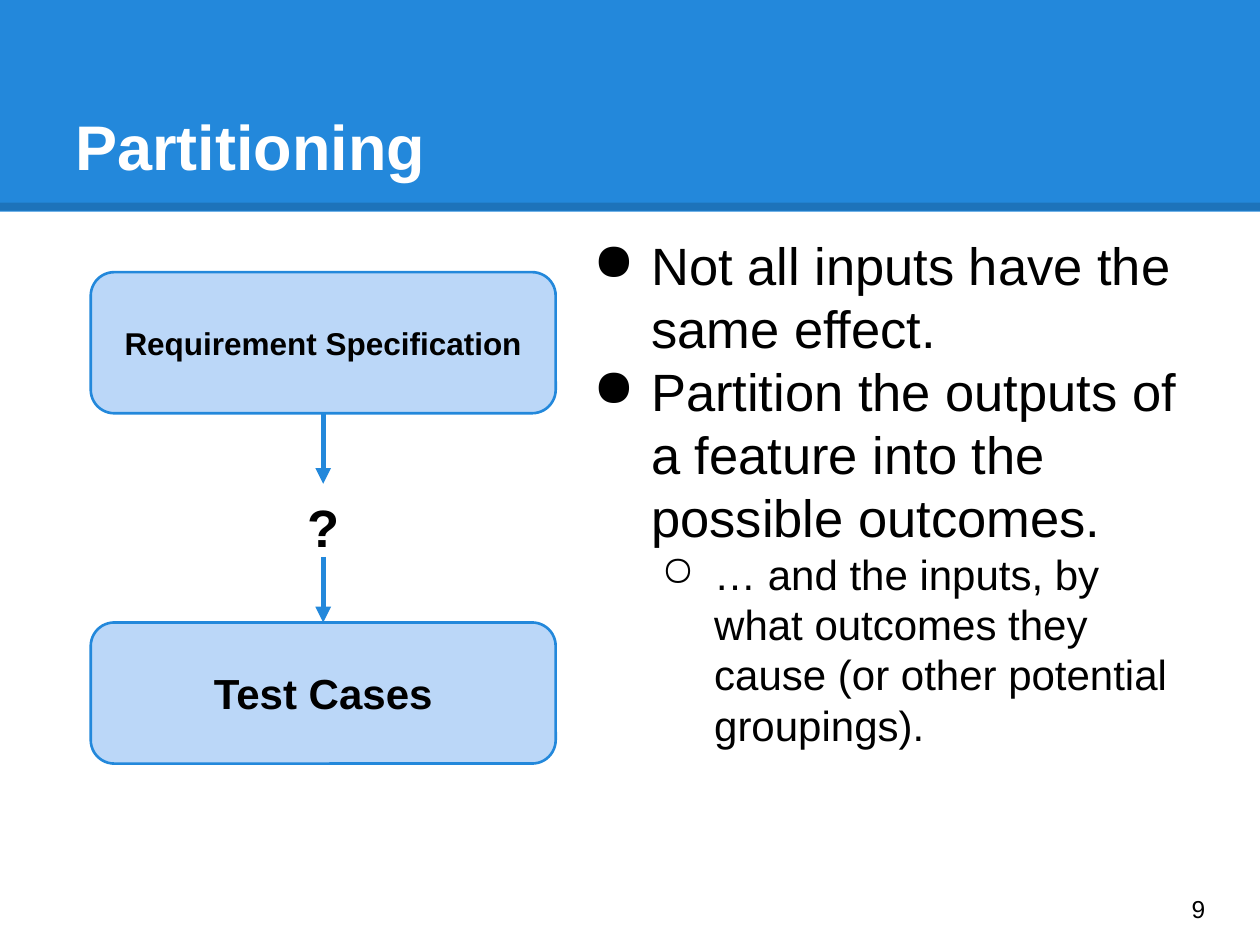
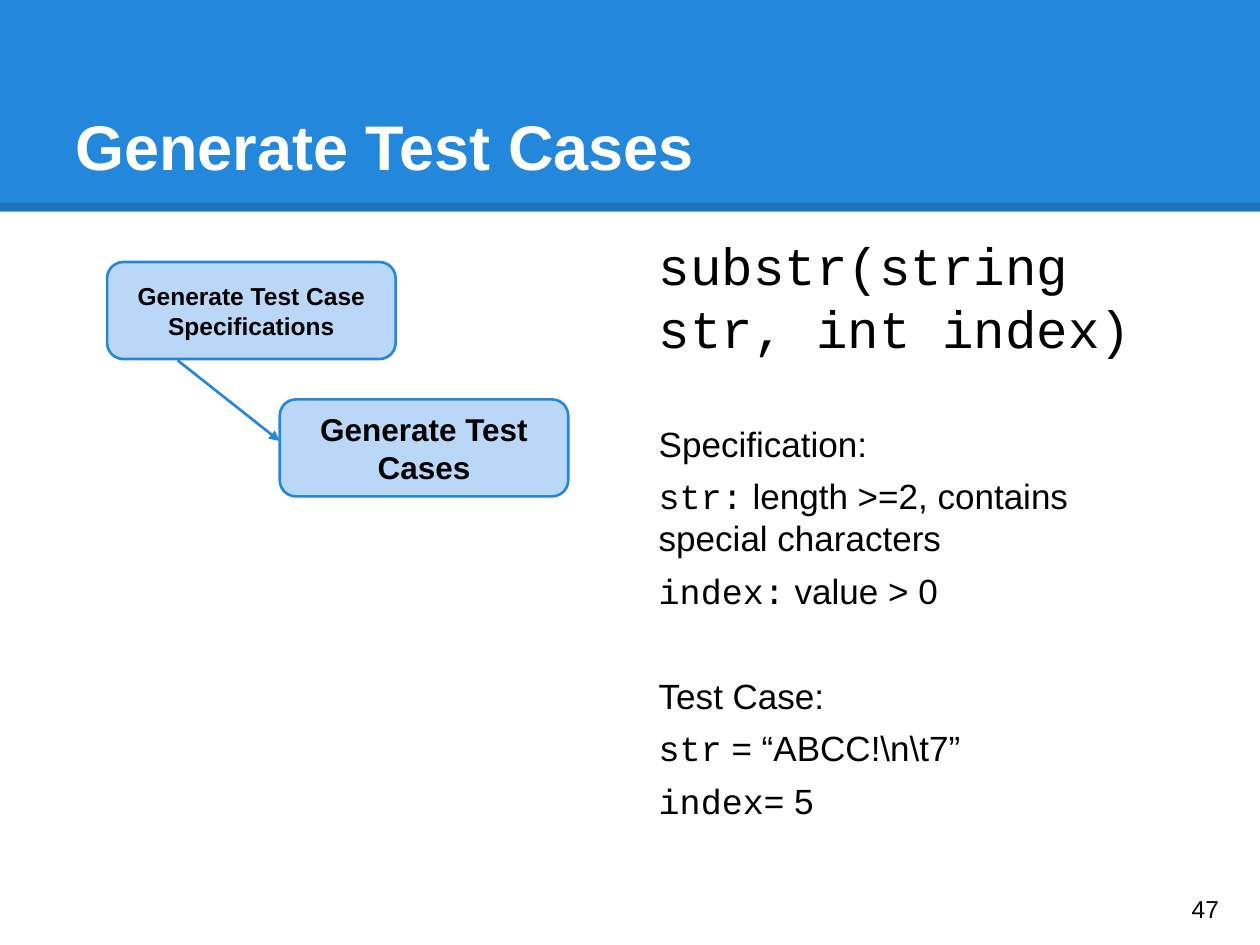
import pptx
import pptx.util
import pptx.dml.color
import pptx.enum.shapes
import pptx.enum.text
import pptx.oxml
import pptx.oxml.ns
from lxml import etree

Inches = pptx.util.Inches
Pt = pptx.util.Pt
Shapes = pptx.enum.shapes.MSO_SHAPE
Anchor = pptx.enum.text.MSO_ANCHOR
Align = pptx.enum.text.PP_ALIGN
qn = pptx.oxml.ns.qn

BLUE, PALE_BLUE, BLACK, WHITE = "2388DB", "BBD7F8", "000000", "FFFFFF"
SANS, MONO = "Arial", "Courier New"
MARGIN = Inches(0.1)


def rgb(color):
    """Turn a hex string into a colour."""
    return pptx.dml.color.RGBColor.from_string(color)


def set_font(font, size, color=BLACK, bold=False, name=SANS):
    """Set all the properties of a font."""
    font.name, font.size, font.bold = name, Pt(size), bold
    font.color.rgb = rgb(color)


def set_frame(frame, anchor):
    """Give a text frame its wrapping, margins and anchor."""
    frame.word_wrap = True
    frame.vertical_anchor = anchor
    frame.margin_left = frame.margin_right = MARGIN
    frame.margin_top = frame.margin_bottom = MARGIN


def add_frame(slide, left, top, width, height, anchor=Anchor.TOP):
    """Add a text box and return its text frame."""
    box = slide.shapes.add_textbox(Inches(left), Inches(top), Inches(width), Inches(height))
    set_frame(box.text_frame, anchor)
    return box.text_frame


def next_paragraph(frame):
    """Return the unused first paragraph of a frame, or a new one."""
    first = frame.paragraphs[0]
    return first if not first.runs else frame.add_paragraph()


def write(frame, text, size, color=BLACK, bold=False, align=Align.LEFT):
    """Write one line of uniform text into a frame."""
    paragraph = next_paragraph(frame)
    paragraph.add_run().text = text
    paragraph.alignment = align
    set_font(paragraph.font, size, color, bold)


def add_bullet(frame, text, mark, size, indent, hanging, before=0):
    """Add a bulleted paragraph; indent and hanging are in inches."""
    paragraph = next_paragraph(frame)
    paragraph.add_run().text = text
    properties = paragraph._p.get_or_add_pPr()
    properties.set("marL", str(Inches(indent)))
    properties.set("indent", str(-Inches(hanging)))
    bullet_color = etree.SubElement(properties, qn("a:buClr"))
    etree.SubElement(bullet_color, qn("a:srgbClr"), val=BLACK)
    etree.SubElement(properties, qn("a:buChar"), char=mark)
    paragraph.space_before = Pt(before)
    set_font(paragraph.font, size)


def add_code_line(frame, code, prose="", size=20, before=6):
    """Add a paragraph that starts with code and goes on in prose."""
    paragraph = next_paragraph(frame)
    paragraph.space_before = Pt(before)
    set_font(paragraph.font, size, name=MONO if code else SANS)
    for text, name in ((code, MONO), (prose, SANS)):
        if text:
            run = paragraph.add_run()
            run.text, run.font.name = text, name


def add_line(slide, start, end, color, width):
    """Add a straight line without shadow and return its line properties."""
    connector = slide.shapes.add_connector(
        pptx.enum.shapes.MSO_CONNECTOR.STRAIGHT,
        *(Inches(value) for value in (*start, *end)))
    connector.line.color.rgb = rgb(color)
    connector.line.width = Pt(width)
    etree.SubElement(connector._element.spPr, qn("a:effectLst"))
    return connector.line._get_or_add_ln()


def add_arrow(slide, start, end, width):
    """Add a blue arrow."""
    line = add_line(slide, start, end, BLUE, width)
    etree.SubElement(line, qn("a:tailEnd"), type="triangle")


def add_shape(slide, kind, left, top, width, height, fill):
    """Add a filled shape without shadow."""
    shape = slide.shapes.add_shape(
        kind, Inches(left), Inches(top), Inches(width), Inches(height))
    shape.shadow.inherit = False
    shape.fill.solid()
    shape.fill.fore_color.rgb = rgb(fill)
    return shape


def add_step(slide, text, left, top, width, height, size):
    """Add a rounded box that names one step of the process."""
    step = add_shape(slide, Shapes.ROUNDED_RECTANGLE, left, top, width, height, PALE_BLUE)
    step.line.color.rgb = rgb(BLUE)
    step.line.width = Pt(1.5)
    set_frame(step.text_frame, Anchor.MIDDLE)
    write(step.text_frame, text, size, bold=True, align=Align.CENTER)


def add_base_slide(deck, title, number):
    """Add a slide with the title band and the slide number."""
    slide = deck.slides.add_slide(deck.slide_layouts[6])
    band = add_shape(slide, Shapes.RECTANGLE, 0, 0, 10, 1.68, BLUE)
    band.line.fill.background()
    edge = add_line(slide, (0, 1.64), (10, 1.64), BLACK, 4.5)
    edge_color = edge.find(".//" + qn("a:srgbClr"))
    etree.SubElement(edge_color, qn("a:alpha"), val="15000")
    write(add_frame(slide, 0.5, 0.3, 9, 1.25, Anchor.BOTTOM), title, 36, WHITE, True)
    write(add_frame(slide, 9.36, 6.93, 0.6, 0.57, Anchor.MIDDLE), str(number), 14)
    return slide


def add_partitioning(deck):
    """Build the slide on partitioning."""
    slide = add_base_slide(deck, "Partitioning", 9)
    left, width, height = 0.72, 3.69, 1.12
    center = left + width / 2
    specification_top, cases_top = 2.16, 4.94
    add_step(slide, "Requirement Specification", left, specification_top, width, height, 18)
    add_step(slide, "Test Cases", left, cases_top, width, height, 24)
    add_arrow(slide, (center, specification_top + height), (center, 3.84), 3)
    add_arrow(slide, (center, 4.42), (center, cases_top), 3)
    write(add_frame(slide, 2.24, 3.83, 0.65, 0.56), "?", 30, bold=True, align=Align.CENTER)

    body = add_frame(slide, 4.57, 1.75, 4.93, 5.43)
    add_bullet(body, "Not all inputs have the same effect.", "●", 30, 0.5, 0.46, before=6)
    add_bullet(body, "Partition the outputs of a feature into the possible outcomes.",
               "●", 30, 0.5, 0.46)
    add_bullet(body, "… and the inputs, by what outcomes they cause "
               "(or other potential groupings).", "○", 24, 1, 0.42)


def add_test_cases(deck):
    """Build the slide on generating test cases."""
    slide = add_base_slide(deck, "Generate Test Cases", 47)
    width, height = 2.29, 0.77
    add_step(slide, "Generate Test Case Specifications", 0.85, 2.08, width, height, 14)
    add_step(slide, "Generate Test Cases", 2.22, 3.17, width, height, 18)
    add_arrow(slide, (1.41, 2.86), (2.22, 3.5), 1.5)

    body = add_frame(slide, 5.13, 1.75, 4.37, 5.43)
    section_gap = 36
    add_code_line(body, "substr(string str, int index)", size=30)
    add_code_line(body, "", "Specification:", before=section_gap)
    add_code_line(body, "str:", " length >=2, contains special characters")
    add_code_line(body, "index:", " value > 0")
    add_code_line(body, "", "Test Case:", before=section_gap)
    add_code_line(body, "str", " = “ABCC!\\n\\t7”")
    add_code_line(body, "index", "= 5")


def main():
    """Build and save the deck."""
    deck = pptx.Presentation()
    deck.slide_width, deck.slide_height = Inches(10), Inches(7.5)
    add_partitioning(deck)
    add_test_cases(deck)
    deck.save("out.pptx")


main()
